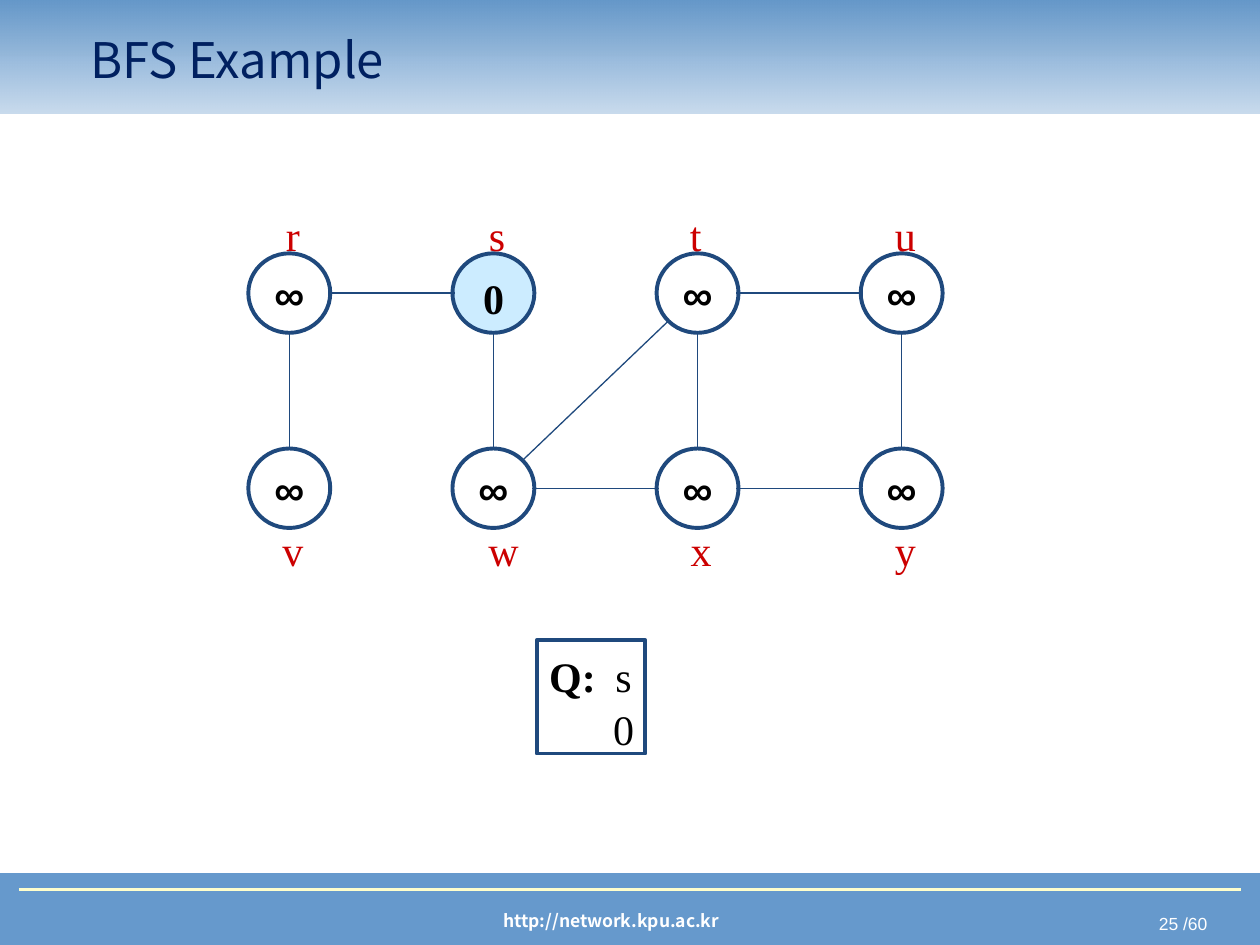
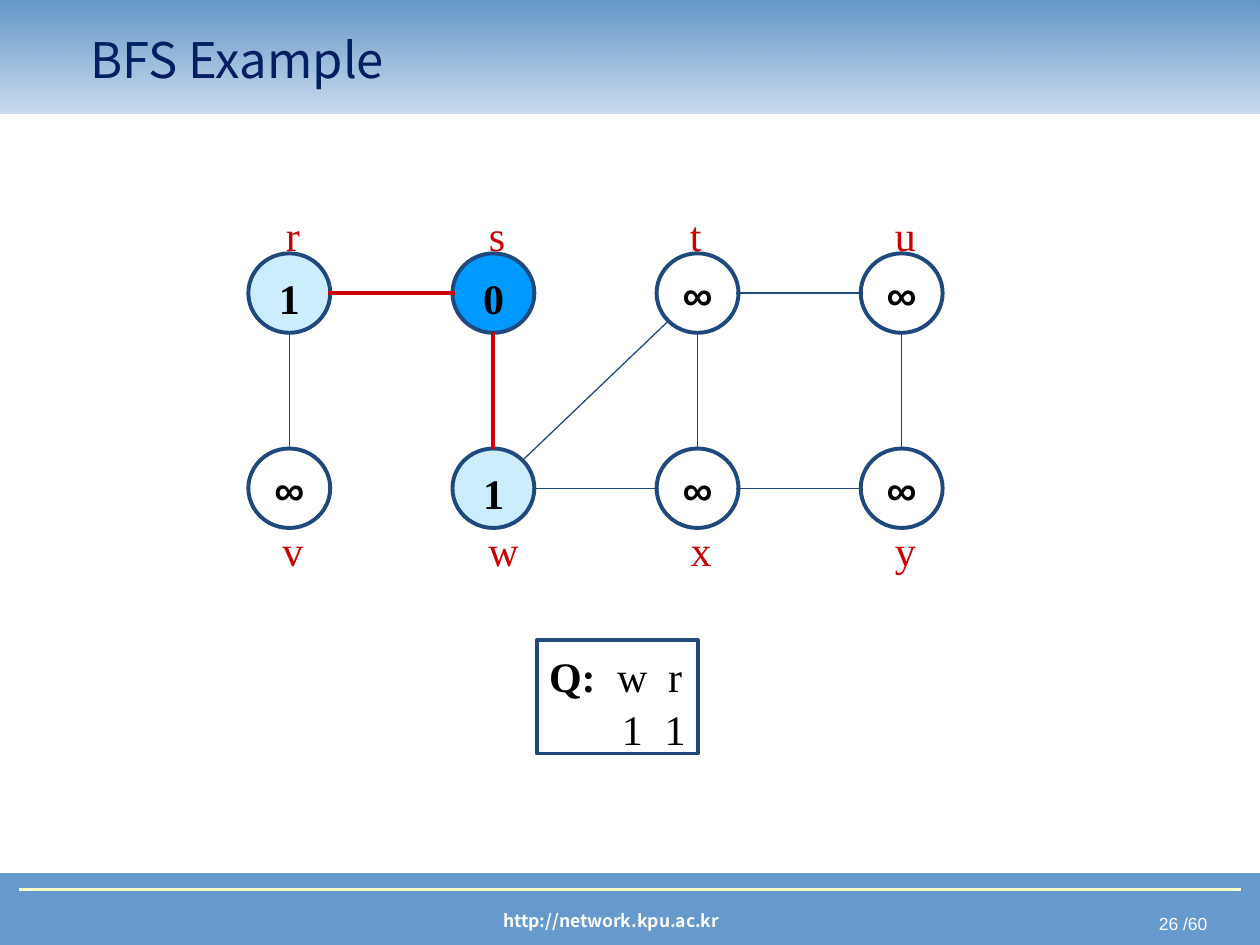
"""Build two slides that step through a breadth-first search."""
from dataclasses import dataclass
from itertools import chain
from math import hypot

from lxml.etree import SubElement
from pptx import Presentation
from pptx.dml.color import RGBColor
from pptx.enum.shapes import MSO_CONNECTOR, MSO_SHAPE
from pptx.enum.text import MSO_ANCHOR, MSO_AUTO_SIZE, PP_ALIGN
from pptx.oxml.ns import qn
from pptx.util import Pt


@dataclass(frozen=True)
class Theme:
    band: str = "6699CC"
    band_top: str = "6497C9"
    rule: str = "FFFFCC"
    title: str = "002060"
    outline: str = "1F497D"
    accent: str = "CC0000"
    queued: str = "CCECFF"
    done: str = "0099FF"
    ink: str = "000000"
    paper: str = "FFFFFF"
    heading_font: str = "Noto Sans CJK KR"
    sans_font: str = "Arial"
    serif_font: str = "Times New Roman"
    title_size: float = 28
    graph_size: float = 24
    footer_size: float = 10
    thin: float = 0.75
    rule_width: float = 1.5
    thick: float = 2.25


@dataclass(frozen=True)
class Area:
    left: float
    top: float
    width: float
    height: float

    def points(self) -> tuple:
        return Pt(self.left), Pt(self.top), Pt(self.width), Pt(self.height)


@dataclass(frozen=True)
class TextStyle:
    font: str
    size: float
    color: str
    bold: bool = False


@dataclass(frozen=True)
class Vertex:
    column: int
    row: int
    label_shift: float = 2

    @property
    def center(self) -> tuple[float, float]:
        return 165.3 + 116.65 * self.column, 167.5 + 111.5 * self.row


@dataclass(frozen=True)
class Step:
    page_number: int
    distances: dict[str, str]
    fills: dict[str, str]
    tree_edges: tuple[str, ...]
    queue: tuple[str, ...]
    queue_width: float
    queue_stops: tuple[float, ...]


THEME = Theme()
TITLE = TextStyle(THEME.heading_font, THEME.title_size, THEME.title)
SITE = TextStyle(THEME.heading_font, THEME.footer_size, THEME.paper, True)
PAGE_NUMBER = TextStyle(THEME.sans_font, THEME.footer_size, THEME.paper)
LABEL = TextStyle(THEME.serif_font, THEME.graph_size, THEME.accent)
DISTANCE = TextStyle(THEME.serif_font, THEME.graph_size, THEME.ink, True)
INFINITE = TextStyle(THEME.sans_font, THEME.graph_size, THEME.ink, True)
QUEUED = TextStyle(THEME.serif_font, THEME.graph_size, THEME.ink)

VERTICES = {
    "r": Vertex(0, 0), "s": Vertex(1, 0), "t": Vertex(2, 0, -1), "u": Vertex(3, 0),
    "v": Vertex(0, 1), "w": Vertex(1, 1, 3), "x": Vertex(2, 1), "y": Vertex(3, 1),
}
EDGES = ("rs", "wx", "xy", "tu", "rv", "sw", "tx", "uy", "wt")
EDGE_TRIM = 22.2
STEPS = (
    Step(25, {"s": "0"}, {"s": THEME.queued}, (), ("s",), 62, (42.5,)),
    Step(26, {"r": "1", "s": "0", "w": "1"},
         {"r": THEME.queued, "s": THEME.done, "w": THEME.queued},
         ("rs", "sw"), ("w", "r"), 92, (47.5, 72)),
)


def color(value: str) -> RGBColor:
    """Turn a hex string into a colour."""
    return RGBColor.from_string(value)


def add_span(para, text: str, style: TextStyle) -> None:
    """Append one formatted run."""
    span = para.add_run()
    span.text = text
    span.font.name = style.font
    span.font.size = Pt(style.size)
    span.font.bold = style.bold
    span.font.color.rgb = color(style.color)


def add_text(page, area: Area, text: str, style: TextStyle,
             align=PP_ALIGN.CENTER, wrap: bool = False, inset: float = 6) -> None:
    """Place a one-line text box."""
    frame = page.shapes.add_textbox(*area.points()).text_frame
    frame.word_wrap = wrap
    frame.margin_top = Pt(inset)
    frame.margin_bottom = Pt(0)
    para = frame.paragraphs[0]
    para.alignment = align
    add_span(para, text, style)


def add_box(page, kind, area: Area, fill: str | None = None,
            line: str | None = None, width: float = THEME.thick):
    """Add a flat preset shape."""
    box = page.shapes.add_shape(kind, *area.points())
    box.shadow.inherit = False
    if fill:
        box.fill.solid()
        box.fill.fore_color.rgb = color(fill)
    else:
        box.fill.background()
    if line:
        box.line.color.rgb = color(line)
        box.line.width = Pt(width)
    else:
        box.line.fill.background()
    return box


def add_line(page, start: tuple, end: tuple, stroke: str, width: float) -> None:
    """Draw a straight line without a shadow."""
    line = page.shapes.add_connector(
        MSO_CONNECTOR.STRAIGHT, *(Pt(value) for value in chain(start, end)))
    line.line.color.rgb = color(stroke)
    line.line.width = Pt(width)
    SubElement(line.element.xpath("./p:spPr")[0], qn("a:effectLst"))


def draw_frame(page, page_number: int) -> None:
    """Draw the bands, footer and title that every slide has."""
    add_box(page, MSO_SHAPE.RECTANGLE, Area(0, 499.5, 720, 40),
            THEME.band, THEME.band, THEME.thin)
    add_text(page, Area(534, 517, 163, 19.5), f"{page_number} /60", PAGE_NUMBER,
             PP_ALIGN.RIGHT, True, 4.5)
    add_text(page, Area(163.5, 517, 371.5, 19.5), "http://network.kpu.ac.kr", SITE,
             wrap=True, inset=3)
    add_line(page, (10.8, 508.3), (709.2, 508.3), THEME.rule, THEME.rule_width)

    header = add_box(page, MSO_SHAPE.RECTANGLE, Area(0, 0, 720, 65))
    header.fill.gradient()
    header.fill.gradient_angle = 90
    for stop, shade in zip(header.fill.gradient_stops, (THEME.band, THEME.band_top)):
        stop.color.rgb = color(shade)
    pale = header.element.xpath(".//a:gs/a:srgbClr")[0]
    SubElement(pale, qn("a:alpha"), val="35000")

    title = page.shapes.title
    title.left, title.top, title.width, title.height = Area(44.6, 11.5, 607.7, 44.6).points()
    frame = title.text_frame
    frame.auto_size = MSO_AUTO_SIZE.NONE
    frame.vertical_anchor = MSO_ANCHOR.MIDDLE
    frame.paragraphs[0].alignment = PP_ALIGN.LEFT
    add_span(frame.paragraphs[0], "BFS Example", TITLE)
    page.shapes.element.append(title.element)


def draw_edge(page, edge: str, in_tree: bool) -> None:
    """Join two vertices from rim to rim."""
    (x1, y1), (x2, y2) = (VERTICES[name].center for name in edge)
    share = EDGE_TRIM / hypot(x2 - x1, y2 - y1)
    dx, dy = (x2 - x1) * share, (y2 - y1) * share
    stroke, width = ((THEME.accent, THEME.thick) if in_tree
                     else (THEME.outline, THEME.thin))
    add_line(page, (x1 + dx, y1 + dy), (x2 - dx, y2 - dy), stroke, width)


def draw_vertex(page, name: str, step: Step) -> None:
    """Draw a circle with its distance and its name."""
    vertex = VERTICES[name]
    x, y = vertex.center
    add_box(page, MSO_SHAPE.OVAL, Area(x - 23.4, y - 22.7, 46.8, 45.4),
            step.fills.get(name), THEME.outline)
    if name in step.distances:
        add_text(page, Area(x - 13, y - 18, 26, 36), step.distances[name], DISTANCE)
    else:
        add_text(page, Area(x - 16.2, y - 20, 32.4, 36), "∞", INFINITE)
    label_top = y + 14.8 if vertex.row else y - 54
    add_text(page, Area(x + vertex.label_shift - 13, label_top, 26, 36), name, LABEL)


def draw_queue(page, step: Step) -> None:
    """Show the queued vertices above their distances."""
    box = add_box(page, MSO_SHAPE.RECTANGLE, Area(306.7, 365.8, step.queue_width, 64.8),
                  line=THEME.outline)
    frame = box.text_frame
    frame.word_wrap = True
    frame.vertical_anchor = MSO_ANCHOR.TOP
    frame.margin_top = Pt(6)
    frame.margin_right = frame.margin_bottom = Pt(0)
    distances = [step.distances[name] for name in step.queue]
    for index, (heading, row) in enumerate((("Q:", step.queue), ("", distances))):
        para = frame.add_paragraph() if index else frame.paragraphs[0]
        para.alignment = PP_ALIGN.LEFT
        if index:
            para.space_before = Pt(1.2)
        stops = SubElement(para._p.get_or_add_pPr(), qn("a:tabLst"))
        for position in step.queue_stops:
            SubElement(stops, qn("a:tab"), pos=str(Pt(position)), algn="ctr")
        if heading:
            add_span(para, heading, DISTANCE)
        for entry in row:
            add_span(para, f"\t{entry}", QUEUED)


def main() -> None:
    """Build and save the deck."""
    deck = Presentation()
    deck.slide_width, deck.slide_height = Pt(720), Pt(540)
    for step in STEPS:
        page = deck.slides.add_slide(deck.slide_layouts[5])
        draw_frame(page, step.page_number)
        for name in VERTICES:
            draw_vertex(page, name, step)
        for edge in EDGES:
            draw_edge(page, edge, edge in step.tree_edges)
        draw_queue(page, step)
    deck.save("out.pptx")


if __name__ == "__main__":
    main()
